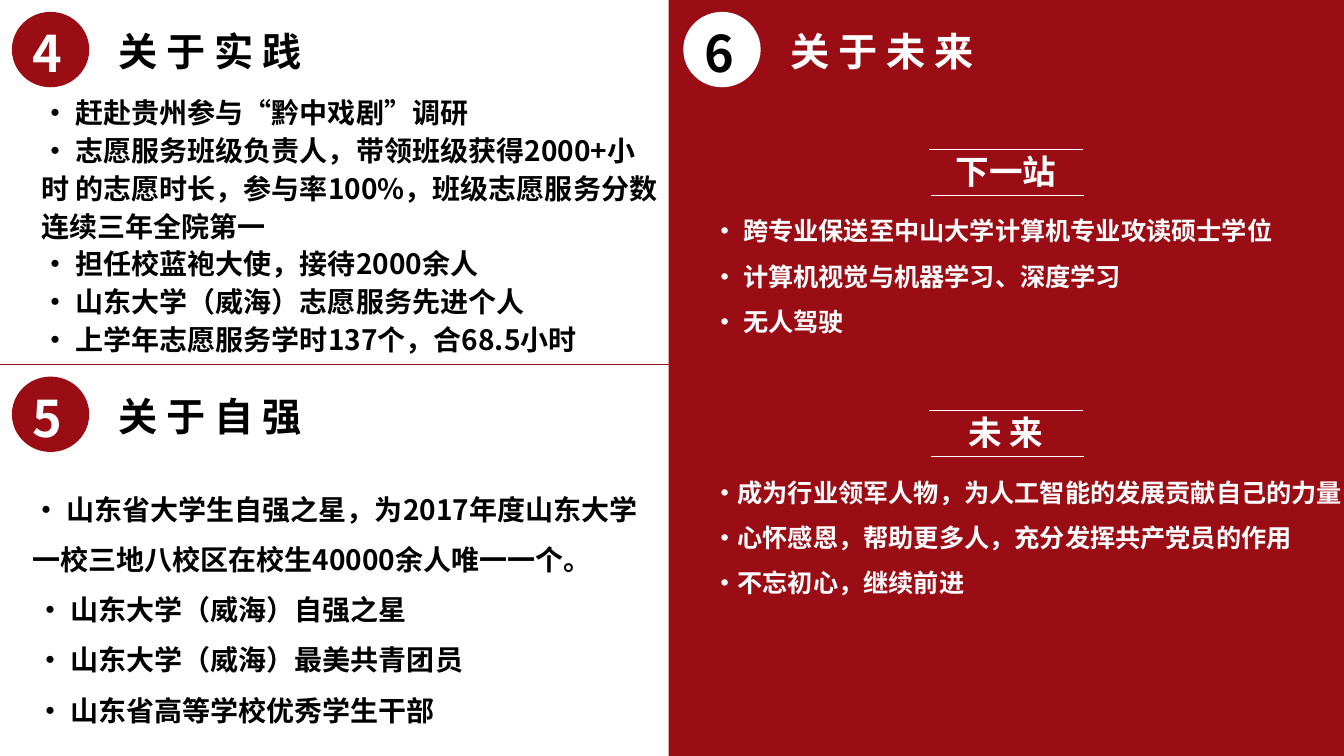
from lxml.etree import SubElement
from pptx import Presentation
from pptx.dml.color import RGBColor
from pptx.enum.shapes import MSO_CONNECTOR, MSO_SHAPE
from pptx.enum.text import MSO_ANCHOR, PP_ALIGN
from pptx.oxml.ns import qn
from pptx.util import Cm, Pt

COLORS = {"red": "9B0D14", "white": "FFFFFF", "black": "000000"}
FONT = "Noto Sans CJK SC"
SLIDE_W, SLIDE_H = 33.87, 19.05
SPLIT_X, SPLIT_Y = 16.85, 9.19

PRACTICE = [
    "• 赶赴贵州参与“黔中戏剧”调研",
    "• 志愿服务班级负责人，带领班级获得2000+小时 的志愿时长，参与率100%，班级志愿服务分数连续三年全院第一",
    "• 担任校蓝袍大使，接待2000余人",
    "• 山东大学（威海）志愿服务先进个人",
    "• 上学年志愿服务学时137个，合68.5小时",
]
TOP_AWARD = ["• 山东省大学生自强之星，为2017年度山东大学一校三地八校区在校生40000余人唯一一个。"]
OTHER_AWARDS = [
    "• 山东大学（威海）自强之星",
    "• 山东大学（威海）最美共青团员",
    "• 山东省高等学校优秀学生干部",
]
NEXT_STOP = [
    "• 跨专业保送至中山大学计算机专业攻读硕士学位",
    "• 计算机视觉与机器学习、深度学习",
    "• 无人驾驶",
]
FUTURE = [
    "•成为行业领军人物，为人工智能的发展贡献自己的力量",
    "•心怀感恩，帮助更多人，充分发挥共产党员的作用",
    "•不忘初心，继续前进",
]


def rgb(color):
    return RGBColor.from_string(COLORS[color])


def write(frame, lines, size, color, spacing=None, align=PP_ALIGN.LEFT):
    frame.word_wrap = True
    for i, line in enumerate(lines):
        paragraph = frame.paragraphs[0] if i == 0 else frame.add_paragraph()
        paragraph.text = line
        paragraph.alignment = align
        paragraph.line_spacing = spacing
        font = paragraph.font
        font.size, font.bold, font.name = Pt(size), True, FONT
        font.color.rgb = rgb(color)
        # Chinese characters take the East Asian typeface
        defaults = paragraph._p.get_or_add_pPr().find(qn("a:defRPr"))
        SubElement(defaults, qn("a:ea")).set("typeface", FONT)


def add_text(slide, box, lines, size, color, **layout):
    textbox = slide.shapes.add_textbox(*map(Cm, box))
    write(textbox.text_frame, lines, size, color, **layout)


def add_filled(slide, preset, box, color):
    shape = slide.shapes.add_shape(preset, *map(Cm, box))
    shape.shadow.inherit = False
    shape.fill.solid()
    shape.fill.fore_color.rgb = rgb(color)
    shape.line.fill.background()
    return shape


def add_rule(slide, left, top, width, color):
    rule = slide.shapes.add_connector(
        MSO_CONNECTOR.STRAIGHT, Cm(left), Cm(top), Cm(left + width), Cm(top))
    rule.line.color.rgb = rgb(color)
    rule.line.width = Pt(0.5)
    SubElement(rule._element.spPr, qn("a:effectLst"))


def add_heading(slide, left, top, number, title, badge_color, number_color, title_color):
    badge = add_filled(slide, MSO_SHAPE.OVAL, (left + 0.3, top + 0.3, 1.95, 1.9), badge_color)
    frame = badge.text_frame
    frame.margin_left = frame.margin_bottom = 0
    frame.margin_right = frame.margin_top = Cm(0.15)
    frame.vertical_anchor = MSO_ANCHOR.MIDDLE
    write(frame, [number], 36, number_color, align=PP_ALIGN.CENTER)
    add_text(slide, (left + 2.74, top + 0.56, 11.33, 1.45), [title], 28, title_color)


def add_practice(slide, left, top):
    add_heading(slide, left, top, "4", "关 于 实 践", "red", "white", "black")
    add_text(slide, (left + 0.79, top + 2.18, 16.1, 6.98), PRACTICE, 20, "black", spacing=Pt(27))


def add_self_improvement(slide, left, top):
    add_rule(slide, left, top, SPLIT_X, "red")
    add_heading(slide, left, top, "5", "关 于 自 强", "red", "white", "black")
    add_text(slide, (left + 0.56, top + 2.67, 15.85, 2.82), TOP_AWARD, 20, "black", spacing=1.5)
    add_text(slide, (left + 0.66, top + 5.19, 15.85, 4.11), OTHER_AWARDS, 20, "black", spacing=1.5)


def add_goal(slide, left, top, title, goals):
    rule_left, rule_width, gap = left + 6.57, 3.86, 1.17
    add_rule(slide, rule_left, top, rule_width, "white")
    add_rule(slide, rule_left + 0.05, top + gap, rule_width, "white")
    add_text(slide, (rule_left, top - 0.08, rule_width, 1.27), [title], 24, "white",
             align=PP_ALIGN.CENTER)
    add_text(slide, (left + 0.85, top + gap, 17, 3.58), goals, 18, "white", spacing=1.5)


def add_future(slide, left, top):
    add_filled(slide, MSO_SHAPE.RECTANGLE, (left, top, SLIDE_W - left, SLIDE_H), "red")
    add_heading(slide, left + 0.07, top, "6", "关 于 未 来", "white", "black", "white")
    for i, (title, goals) in enumerate([("下一站", NEXT_STOP), ("未 来", FUTURE)]):
        add_goal(slide, left, top + 3.76 + i * 6.58, title, goals)


def main():
    deck = Presentation()
    deck.slide_width, deck.slide_height = Cm(SLIDE_W), Cm(SLIDE_H)
    slide = deck.slides.add_slide(deck.slide_layouts[6])
    add_future(slide, SPLIT_X, 0)
    add_practice(slide, 0, 0)
    add_self_improvement(slide, 0, SPLIT_Y)
    deck.save("out.pptx")


if __name__ == "__main__":
    main()
